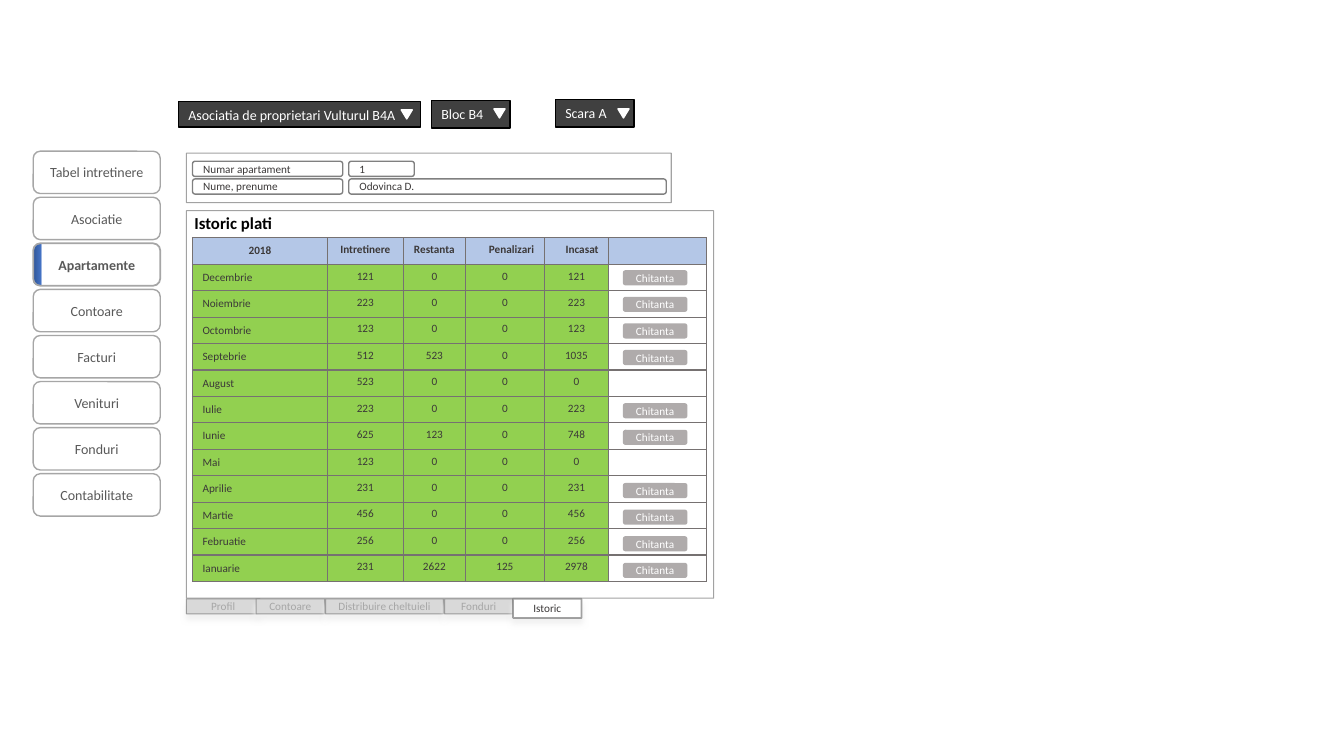
from dataclasses import dataclass

from lxml.etree import SubElement
from pptx import Presentation
from pptx.dml.color import RGBColor
from pptx.enum.shapes import MSO_SHAPE
from pptx.enum.text import MSO_ANCHOR, PP_ALIGN
from pptx.oxml import parse_xml
from pptx.oxml.ns import nsdecls, qn
from pptx.util import Pt


@dataclass(frozen=True)
class Theme:
    font: str = "Calibri"
    small: int = 8
    normal: int = 10
    title: int = 12
    white: str = "FFFFFF"
    black: str = "000000"
    ink: str = "3B3838"
    menu_text: str = "595959"
    menu_line: str = "A6A6A6"
    selector: str = "404040"
    outline: str = "808080"
    tab: str = "D9D9D9"
    tab_text: str = "A6A6A6"
    tab_shadow: str = "F2F2F2"
    accent: str = "4472C4"
    accent_dark: str = "2F5597"
    header: str = "B4C7E7"
    paid: str = "92D050"
    grid: str = "767171"
    receipt: str = "AFABAB"


class PageBuilder:
    def __init__(self, page, theme):
        self.page = page
        self.theme = theme

    def set_text(self, frame, text, size, color, align=PP_ALIGN.LEFT, bold=False):
        para = frame.paragraphs[0]
        para.text = text
        para.alignment = align
        para.font.name = self.theme.font
        para.font.size = Pt(size)
        para.font.bold = bold
        para.font.color.rgb = RGBColor.from_string(color)

    def shape(self, kind, left, top, width, height, fill=None, line=None, weight=1):
        shape = self.page.shapes.add_shape(kind, Pt(left), Pt(top), Pt(width), Pt(height))
        shape.shadow.inherit = False
        if fill:
            shape.fill.solid()
            shape.fill.fore_color.rgb = RGBColor.from_string(fill)
        else:
            shape.fill.background()
        if line:
            shape.line.color.rgb = RGBColor.from_string(line)
            shape.line.width = Pt(weight)
        else:
            shape.line.fill.background()
        return shape

    def soften_line(self, shape):
        """Make the outline 72 % opaque."""
        color = shape._element.spPr.find(qn("a:ln")).find(".//" + qn("a:srgbClr"))
        SubElement(color, qn("a:alpha"), val="72000")

    def menu_item(self, text, top, active):
        theme = self.theme
        item = self.shape(MSO_SHAPE.ROUNDED_RECTANGLE, 23.76, top, 90.72, 30.24,
                          theme.white, theme.menu_line, 1.25 if active else 1)
        if active:
            self.mark_left_edge(item)
        self.set_text(item.text_frame, text, theme.normal, theme.menu_text,
                      PP_ALIGN.CENTER, active)

    def mark_left_edge(self, item):
        """Fill white with a blue band along the left edge."""
        theme = self.theme
        stops = ((0, theme.white), (93, theme.white), (94, theme.accent),
                 (100, theme.accent_dark))
        gradient = parse_xml(f'<a:gradFill {nsdecls("a")}><a:gsLst/>'
                             '<a:lin ang="10800000" scaled="0"/></a:gradFill>')
        for percent, color in stops:
            stop = SubElement(gradient[0], qn("a:gs"), pos=str(percent * 1000))
            SubElement(stop, qn("a:srgbClr"), val=color)
        properties = item._element.spPr
        properties.replace(properties.find(qn("a:solidFill")), gradient)

    def selector(self, text, left, top, width, height, arrow_left, arrow_top):
        theme = self.theme
        box = self.shape(MSO_SHAPE.RECTANGLE, left, top, width, height,
                         theme.selector, theme.black)
        self.set_text(box.text_frame, text, theme.normal, theme.white)
        arrow = self.shape(MSO_SHAPE.ISOSCELES_TRIANGLE, arrow_left, arrow_top, 7.92, 6.48,
                           theme.white, theme.white)
        arrow.rotation = 180

    def panel(self, top, width, height):
        box = self.shape(MSO_SHAPE.RECTANGLE, 133.2, top, width, height,
                         self.theme.white, self.theme.outline, 0.75)
        self.soften_line(box)

    def field(self, text, left, top, width):
        box = self.shape(MSO_SHAPE.ROUNDED_RECTANGLE, left, top, width, 10.8,
                         line=self.theme.outline)
        self.set_text(box.text_frame, text, self.theme.small, self.theme.ink)

    def tab(self, text, left, width, active):
        theme = self.theme
        height, fill, weight, color = (
            (13.68, theme.white, 1.25, theme.ink) if active
            else (10.8, theme.tab, 0.75, theme.tab_text))
        box = self.shape(MSO_SHAPE.RECTANGLE, left, 427.68, width, height,
                         fill, theme.outline, weight)
        self.soften_line(box)
        effects = box._element.spPr.find(qn("a:effectLst"))
        shadow = SubElement(effects, qn("a:outerShdw"), blurRad=str(Pt(4)),
                            dist=str(Pt(4)), dir="5400000")
        SubElement(shadow, qn("a:srgbClr"), val=theme.tab_shadow)
        self.set_text(box.text_frame, text, theme.small, color, PP_ALIGN.CENTER)

    def heading(self, text, left, top, width, height):
        box = self.page.shapes.add_textbox(Pt(left), Pt(top), Pt(width), Pt(height))
        box.text_frame.word_wrap = False
        self.set_text(box.text_frame, text, self.theme.title, self.theme.black, bold=True)

    def receipt_button(self, top):
        box = self.shape(MSO_SHAPE.ROUNDED_RECTANGLE, 444.96, top, 46.08, 10.8,
                         self.theme.receipt)
        self.set_text(box.text_frame, "Chitanta", self.theme.small, self.theme.white,
                      PP_ALIGN.CENTER)

    def border(self, cell):
        properties = cell._tc.get_or_add_tcPr()
        for index, side in enumerate(("a:lnL", "a:lnR", "a:lnT", "a:lnB")):
            line = parse_xml(f'<{side} {nsdecls("a")} w="{Pt(1)}"><a:solidFill>'
                             f'<a:srgbClr val="{self.theme.grid}"/></a:solidFill></{side}>')
            properties.insert(index, line)

    def payments(self, rows, widths, left, top, row_height):
        theme = self.theme
        table = self.page.shapes.add_table(
            len(rows), len(widths), Pt(left), Pt(top),
            Pt(sum(widths)), Pt(row_height * len(rows))).table
        table.first_row = table.horz_banding = False
        for column, width in zip(table.columns, widths):
            column.width = Pt(width)
        for r, values in enumerate(rows):
            table.rows[r].height = Pt(row_height)
            for c, value in enumerate(values):
                cell = table.cell(r, c)
                align = PP_ALIGN.CENTER
                if r == 0 and c in (3, 4):
                    align = PP_ALIGN.RIGHT
                elif r > 0 and c == 0:
                    align = PP_ALIGN.LEFT
                self.set_text(cell.text_frame, value, theme.small, theme.ink, align, r == 0)
                if not value:
                    SubElement(cell.text_frame.paragraphs[0]._p, qn("a:endParaRPr"),
                               sz=str(theme.small * 100))
                if c == 0:
                    cell.vertical_anchor = MSO_ANCHOR.MIDDLE
                fill = theme.header if r == 0 else theme.paid if value else theme.white
                cell.fill.solid()
                cell.fill.fore_color.rgb = RGBColor.from_string(fill)
                self.border(cell)


MENU = ("Tabel intretinere", "Asociatie", "Apartamente", "Contoare", "Facturi",
        "Venituri", "Fonduri", "Contabilitate")
SELECTORS = (("Asociatia de proprietari Vulturul B4A", 127.44, 72.72, 172.8, 18, 286.56, 78.48),
             ("Bloc B4", 308.16, 72, 56.16, 19.44, 352.8, 77.76),
             ("Scara A", 396.72, 71.28, 56.16, 19.44, 441.36, 77.76))
FIELDS = (("Numar apartament", "1", 46.8), ("Nume, prenume", "Odovinca D.", 226.8))
TABS = (("Profil", 133.2, 52.56), ("Contoare", 182.88, 48.96),
        ("Distribuire cheltuieli", 232.56, 84.24), ("Fonduri", 317.52, 48.96),
        ("Istoric", 366.48, 48.96))
PAYMENTS = (("2018", "Intretinere", "Restanta", "Penalizari", "Incasat", ""),
            ("Decembrie", "121", "0", "0", "121", ""),
            ("Noiembrie", "223", "0", "0", "223", ""),
            ("Octombrie", "123", "0", "0", "123", ""),
            ("Septebrie", "512", "523", "0", "1035", ""),
            ("August", "523", "0", "0", "0", ""),
            ("Iulie", "223", "0", "0", "223", ""),
            ("Iunie", "625", "123", "0", "748", ""),
            ("Mai", "123", "0", "0", "0", ""),
            ("Aprilie", "231", "0", "0", "231", ""),
            ("Martie", "456", "0", "0", "456", ""),
            ("Februatie", "256", "0", "0", "256", ""),
            ("Ianuarie", "231", "2622", "125", "2978", ""))
COLUMN_WIDTHS = (96.48, 54, 44.64, 56.16, 46.08, 69.84)


def main():
    deck = Presentation()
    deck.slide_width, deck.slide_height = Pt(960), Pt(540)
    builder = PageBuilder(deck.slides.add_slide(deck.slide_layouts[6]), Theme())
    for index, name in enumerate(MENU):
        builder.menu_item(name, 108 + 32.91 * index, name == "Apartamente")
    for selector in SELECTORS:
        builder.selector(*selector)
    builder.panel(150.48, 376.56, 276.84)
    builder.panel(109.44, 346.32, 35.28)
    for index, (label, value, width) in enumerate(FIELDS):
        top = 115.2 + 12.6 * index
        builder.field(label, 137.52, top, 107.28)
        builder.field(value, 249.12, top, width)
    for name, left, width in TABS:
        builder.tab(name, left, width, name == "Istoric")
    builder.heading("Istoric plati", 131.76, 148.32, 73.44, 21.6)
    builder.payments(PAYMENTS, COLUMN_WIDTHS, 137.52, 169.92, 18.89)
    for index, row in enumerate(PAYMENTS[1:]):
        if row[4] != "0":
            builder.receipt_button(193 + 19 * index)
    deck.save("out.pptx")


if __name__ == "__main__":
    main()
